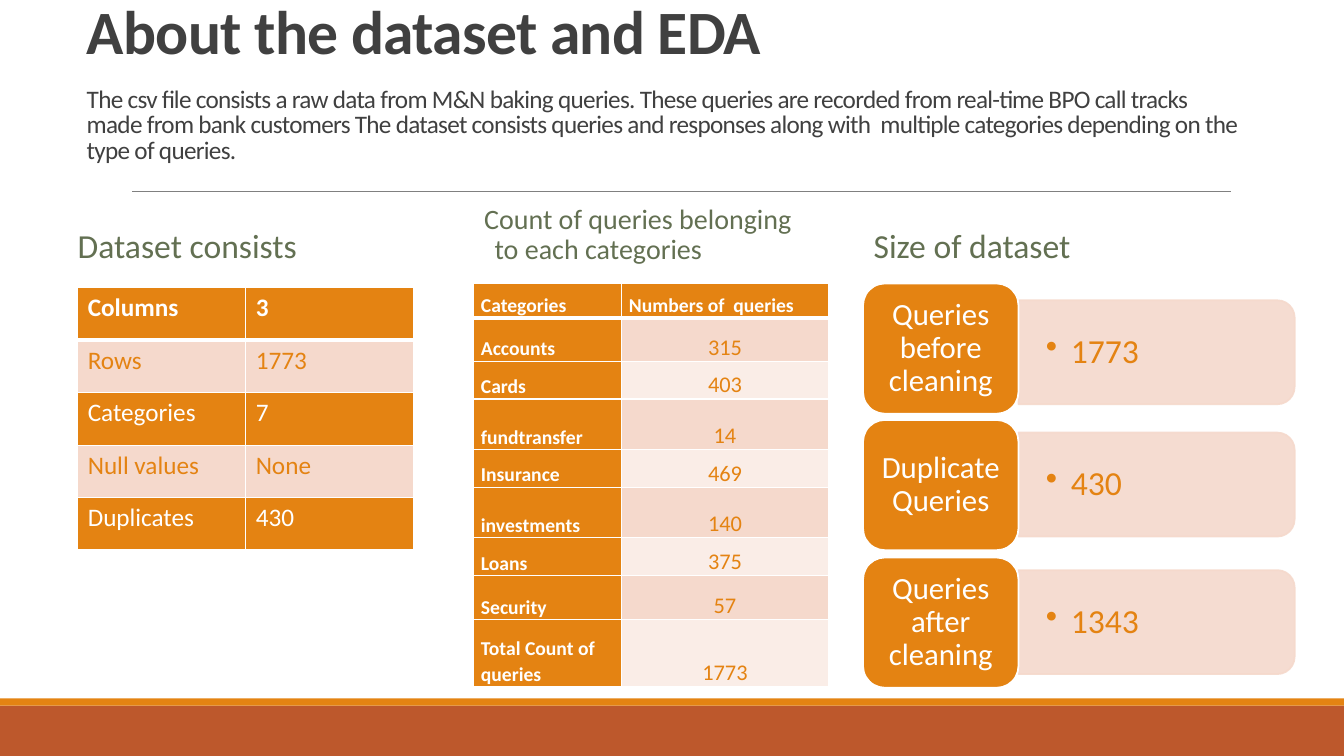
"""Build the slide about the dataset and its exploratory analysis."""
import pptx
import pptx.dml.color
import pptx.enum.shapes
import pptx.enum.text
import pptx.oxml
import pptx.oxml.ns
import pptx.util
import lxml.etree

PX = 9525
FONT = "Calibri"
ORANGE = pptx.dml.color.RGBColor(0xE4, 0x83, 0x12)
RUST = pptx.dml.color.RGBColor(0xBD, 0x58, 0x2C)
PEACH = pptx.dml.color.RGBColor(0xF5, 0xD9, 0xCC)
PALE = pptx.dml.color.RGBColor(0xFA, 0xED, 0xE7)
GREEN = pptx.dml.color.RGBColor(0x63, 0x70, 0x52)
CHARCOAL = pptx.dml.color.RGBColor(0x40, 0x40, 0x40)
GRAY = pptx.dml.color.RGBColor(0x80, 0x80, 0x80)
WHITE = pptx.dml.color.RGBColor(0xFF, 0xFF, 0xFF)
SHAPES = pptx.enum.shapes.MSO_SHAPE
ANCHOR = pptx.enum.text.MSO_ANCHOR
ALIGN = pptx.enum.text.PP_ALIGN
qn = pptx.oxml.ns.qn


def format_paragraph(paragraph, size, color, bold=False, align=ALIGN.LEFT, spacing=1.0, before=0, after=0):
    """Set the font, alignment and spacing of a paragraph."""
    paragraph.font.name = FONT
    paragraph.font.size = pptx.util.Pt(size)
    paragraph.font.bold = bold
    paragraph.font.color.rgb = color
    paragraph.alignment = align
    paragraph.line_spacing = spacing
    paragraph.space_before = pptx.util.Pt(before)
    paragraph.space_after = pptx.util.Pt(after)


def add_plain_table(left, top, widths, heights, rows):
    """Add a table with white borders and a thick line under its header."""
    frame = slide.shapes.add_table(
        len(rows), len(widths), left * PX, top * PX, sum(widths) * PX, sum(heights) * PX)
    table = frame.table
    for column, width in zip(table.columns, widths):
        column.width = width * PX
    for index, (height, values) in enumerate(zip(heights, rows)):
        table.rows[index].height = height * PX
        for cell, value in zip(table.rows[index].cells, values):
            cell.text = value
            properties = cell._tc.get_or_add_tcPr()
            for side in ("lnL", "lnR", "lnT", "lnB"):
                thick = (index, side) in ((0, "lnB"), (1, "lnT"))
                line = lxml.etree.SubElement(properties, qn("a:" + side), w=str(38100 if thick else 12700))
                fill = lxml.etree.SubElement(line, qn("a:solidFill"))
                lxml.etree.SubElement(fill, qn("a:srgbClr"), val=str(WHITE))
    return table


presentation = pptx.Presentation()
presentation.slide_width = 1280 * PX
presentation.slide_height = 720 * PX
slide = presentation.slides.add_slide(presentation.slide_layouts.get_by_name("Comparison"))
title, *headings, spare = slide.placeholders
spare._element.getparent().remove(spare._element)

for top, height, color in ((672, 48, RUST), (665, 7, ORANGE)):
    band = slide.shapes.add_shape(SHAPES.RECTANGLE, 0, top * PX, 1280 * PX, height * PX)
    band.shadow.inherit = False
    band.fill.solid()
    band.fill.fore_color.rgb = color
    band.line.fill.background()

rule = slide.shapes.add_connector(
    pptx.enum.shapes.MSO_CONNECTOR.STRAIGHT, 126 * PX, 182 * PX, 1172 * PX, 182 * PX)
rule.line.color.rgb = GRAY
rule.line.width = pptx.util.Pt(0.5)
lxml.etree.SubElement(rule._element.spPr, qn("a:effectLst"))

title.left, title.top, title.width, title.height = (length * PX for length in (73, 15, 1121, 170))
title_frame = title.text_frame
title_frame.auto_size = pptx.enum.text.MSO_AUTO_SIZE.NONE
title_frame.vertical_anchor = ANCHOR.BOTTOM
title_frame.margin_top = 0
title_frame.margin_bottom = 28 * PX
title_frame.text = (
    "About the dataset and EDA\n"
    "The csv file consists a raw data from M&N baking queries. These queries are recorded from "
    "real-time BPO call tracks made from bank customers The dataset consists queries and responses "
    "along with  multiple categories depending on the type of queries.")
for paragraph, size, bold, before in zip(title_frame.paragraphs, (44, 18), (True, False), (0, 15)):
    format_paragraph(paragraph, size, CHARCOAL, bold, spacing=0.85, before=before)
    paragraph._p.get_or_add_pPr().get_or_add_defRPr().set("spc", "-50")

heading_specs = (
    ("Dataset consists", 74, 309, 24, 0, 0),
    ("Count of queries belonging to each categories", 451, 338, 20, 10, 10),
    ("Size of dataset", 822, 308, 24, 10, 10),
)
for heading, (text, left, width, size, margin, hanging) in zip(headings, heading_specs):
    heading.left, heading.top, heading.width, heading.height = (
        length * PX for length in (left, 197, width, 61))
    frame = heading.text_frame
    frame.auto_size = pptx.enum.text.MSO_AUTO_SIZE.NONE
    frame.vertical_anchor = ANCHOR.BOTTOM
    frame.margin_left = frame.margin_right = margin * PX
    frame.text = text
    paragraph = frame.paragraphs[0]
    format_paragraph(paragraph, size, GREEN, spacing=0.9, before=12, after=2)
    properties = paragraph._p.get_or_add_pPr()
    properties.set("marL", str(hanging * PX))
    properties.set("indent", str(-hanging * PX))
    properties.insert_element_before(pptx.oxml.parse_xml(
        '<a:buNone xmlns:a="http://schemas.openxmlformats.org/drawingml/2006/main"/>'), "a:defRPr")

category_rows = (
    ("Categories", "Numbers of  queries"), ("Accounts", "315"), ("Cards", "403"),
    ("fundtransfer", "14"), ("Insurance", "469"), ("investments", "140"),
    ("Loans", "375"), ("Security", "57"), ("Total Count of queries", "1773"),
)
category_table = add_plain_table(
    451, 270, (141, 197), (33, 41, 36, 48, 36, 48, 36, 42, 64), category_rows)
for row_index, row in enumerate(category_table.rows):
    for column_index, cell in enumerate(row.cells):
        is_count = row_index > 0 and column_index == 1
        cell.fill.solid()
        cell.fill.fore_color.rgb = (PEACH if row_index % 2 else PALE) if is_count else ORANGE
        cell.vertical_anchor = ANCHOR.BOTTOM
        cell.margin_left = cell.margin_right = 7 * PX
        cell.margin_top = cell.margin_bottom = 0
        format_paragraph(
            cell.text_frame.paragraphs[0], 16 if is_count else 14, ORANGE if is_count else WHITE,
            not is_count, ALIGN.CENTER if is_count else ALIGN.LEFT, spacing=1.07, after=8)

summary_rows = (
    ("Columns", "3"), ("Rows", "1773"), ("Categories", "7"), ("Null values", "None"), ("Duplicates", "430"))
summary_table = add_plain_table(74, 274, (160, 160), (50,) * 5, summary_rows)
for row_index, row in enumerate(summary_table.rows):
    for cell in row.cells:
        cell.fill.solid()
        cell.fill.fore_color.rgb = PEACH if row_index % 2 else ORANGE
        format_paragraph(
            cell.text_frame.paragraphs[0], 18, ORANGE if row_index % 2 else WHITE, row_index == 0)

size_rows = (
    ("Queries before cleaning", "1773", 270, 336),
    ("Duplicate Queries", "430", 400, 462),
    ("Queries after cleaning", "1343", 531, 593),
)
for label, count, tile_top, bar_middle in size_rows:
    bar = slide.shapes.add_shape(
        SHAPES.ROUND_2_SAME_RECTANGLE, 1052 * PX, (bar_middle - 132) * PX, 99 * PX, 263 * PX)
    bar.rotation = 90
    bar.shadow.inherit = False
    bar.fill.solid()
    bar.fill.fore_color.rgb = PEACH
    bar.line.color.rgb = PEACH
    bar.line.width = pptx.util.Pt(1.25)
    for color in bar._element.spPr.iter(qn("a:srgbClr")):
        lxml.etree.SubElement(color, qn("a:alpha"), val="90000")

    count_box = slide.shapes.add_textbox(970 * PX, (bar_middle - 45) * PX, 258 * PX, 89 * PX)
    frame = count_box.text_frame
    frame.word_wrap = True
    frame.vertical_anchor = ANCHOR.MIDDLE
    frame.margin_left = frame.margin_right = 26 * PX
    frame.margin_top = frame.margin_bottom = 13 * PX
    frame.text = count
    paragraph = frame.paragraphs[0]
    format_paragraph(paragraph, 24, ORANGE, spacing=0.9)
    properties = paragraph._p.get_or_add_pPr()
    properties.set("marL", str(24 * PX))
    properties.set("indent", str(-24 * PX))
    properties.insert_element_before(pptx.oxml.parse_xml(
        '<a:buChar xmlns:a="http://schemas.openxmlformats.org/drawingml/2006/main" char="•"/>'), "a:defRPr")

    tile = slide.shapes.add_shape(SHAPES.ROUNDED_RECTANGLE, 822 * PX, tile_top * PX, 148 * PX, 124 * PX)
    tile.shadow.inherit = False
    tile.fill.solid()
    tile.fill.fore_color.rgb = ORANGE
    tile.line.color.rgb = WHITE
    tile.line.width = pptx.util.Pt(1.25)
    tile.text_frame.margin_left = tile.text_frame.margin_right = 9 * PX
    tile.text_frame.vertical_anchor = ANCHOR.MIDDLE
    tile.text_frame.text = label
    format_paragraph(tile.text_frame.paragraphs[0], 22, WHITE, align=ALIGN.CENTER, spacing=0.9)

presentation.save("out.pptx")
